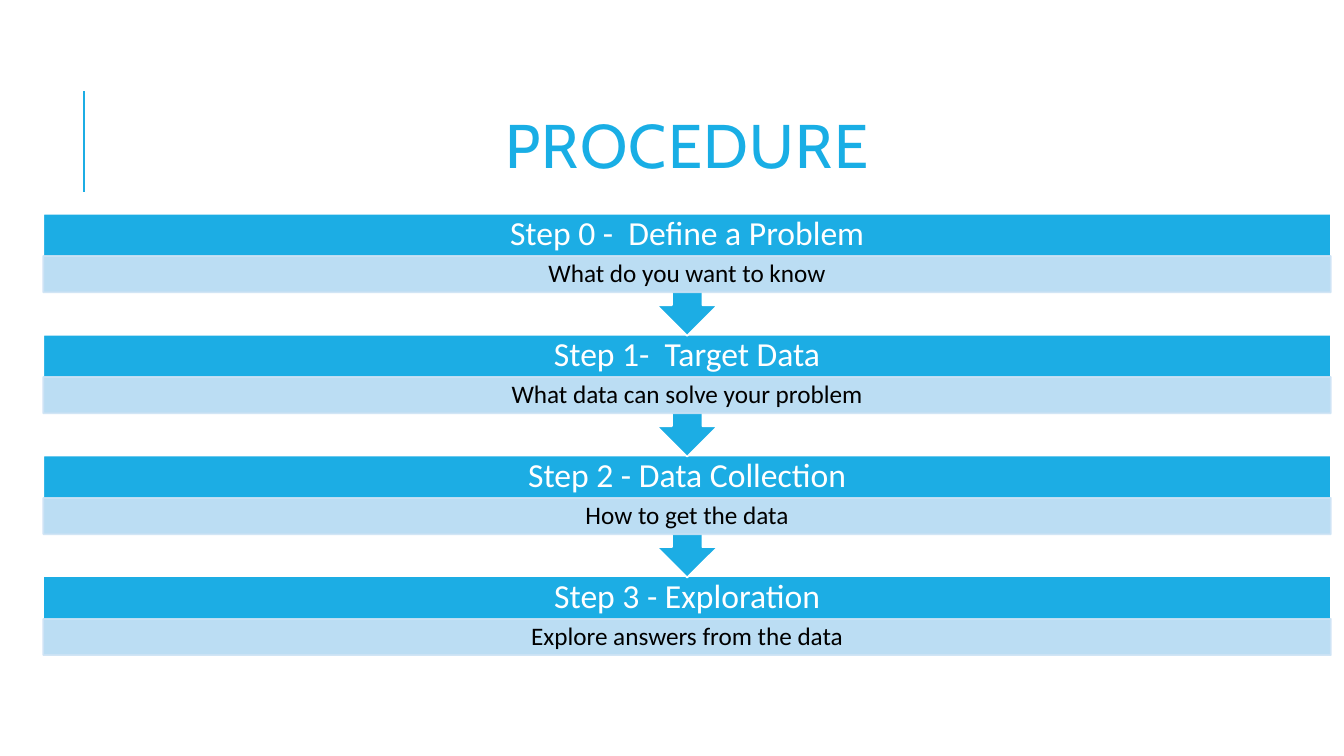
from lxml import etree
from pptx import Presentation
from pptx.dml.color import RGBColor
from pptx.enum.shapes import MSO_CONNECTOR as CONN, MSO_SHAPE as SHAPE
from pptx.enum.text import MSO_ANCHOR as ANCHOR, PP_ALIGN as ALIGN
from pptx.oxml.ns import qn
from pptx.util import Inches, Pt

TITLE = "PROCEDURE"
STEPS = [
    ("Step 0 -  Define a Problem", "What do you want to know"),
    ("Step 1-  Target Data", "What data can solve your problem"),
    ("Step 2 - Data Collection", "How to get the data"),
    ("Step 3 - Exploration", "Explore answers from the data"),
]
BLUE, TITLE_BLUE, PALE, WHITE, BLACK = "1CADE4", "19AEE5", "CDE3F5", "FFFFFF", "000000"
SLIDE_W, SLIDE_H = 13.33, 7.5
LEFT, TOP, WIDTH = 0.43, 2.12, 12.77
PITCH, CALLOUT_H, BLOCK_H = 1.2, 1.21, 0.79
HEAD_H, BAND_H = 0.42, 0.36


def rgb(value):
    return RGBColor.from_string(value)


def write(shape, text, size, color, font="Calibri", spacing=0.9):
    tf = shape.text_frame
    tf.text = text
    tf.word_wrap = True
    tf.vertical_anchor = ANCHOR.MIDDLE
    tf.margin_top = tf.margin_bottom = 0
    p = tf.paragraphs[0]
    p.alignment = ALIGN.CENTER
    p.line_spacing = spacing
    r = p.runs[0]
    r.font.name, r.font.size = font, Pt(size)
    r.font.color.rgb = rgb(color)
    return r


def add_box(s, kind, top, height, fill, line):
    sp = s.shapes.add_shape(kind, Inches(LEFT), Inches(top), Inches(WIDTH), Inches(height))
    sp.shadow.inherit = False
    sp.fill.solid()
    sp.fill.fore_color.rgb = rgb(fill)
    sp.line.color.rgb = rgb(line)
    sp.line.width = Pt(1.25)
    return sp


def add_step(s, index, heading, detail):
    top = TOP + index * PITCH
    if index == len(STEPS) - 1:
        add_box(s, SHAPE.RECTANGLE, top, BLOCK_H, BLUE, WHITE)
    else:
        callout = add_box(s, SHAPE.UP_ARROW_CALLOUT, top, CALLOUT_H, BLUE, WHITE)
        callout.rotation = 180
    label = s.shapes.add_textbox(Inches(LEFT), Inches(top), Inches(WIDTH), Inches(HEAD_H))
    write(label, heading, 24, WHITE)
    band = add_box(s, SHAPE.RECTANGLE, top + HEAD_H, BAND_H, PALE, PALE)
    for color in band._element.spPr.iter(qn("a:srgbClr")):
        etree.SubElement(color, qn("a:alpha")).set("val", "90000")
    write(band, detail, 18, BLACK)


def main():
    prs = Presentation()
    prs.slide_width, prs.slide_height = Inches(SLIDE_W), Inches(SLIDE_H)
    s = prs.slides.add_slide(prs.slide_layouts[5])

    title = s.shapes.title
    title.left, title.top = Inches(1.5), Inches(0.68)
    title.width, title.height = Inches(10.63), Inches(1.64)
    r = write(title, TITLE, 44, TITLE_BLUE, "Cabin", 0.8)
    r.font._element.set("spc", "100")

    rule = s.shapes.add_connector(CONN.STRAIGHT, Inches(0.83), Inches(1.9), Inches(0.83), Inches(0.9))
    rule.line.color.rgb = rgb(BLUE)
    rule.line.width = Pt(1.5)
    etree.SubElement(rule._element.spPr, qn("a:effectLst"))

    for index, (heading, detail) in reversed(list(enumerate(STEPS))):
        add_step(s, index, heading, detail)

    prs.save("out.pptx")


if __name__ == "__main__":
    main()
